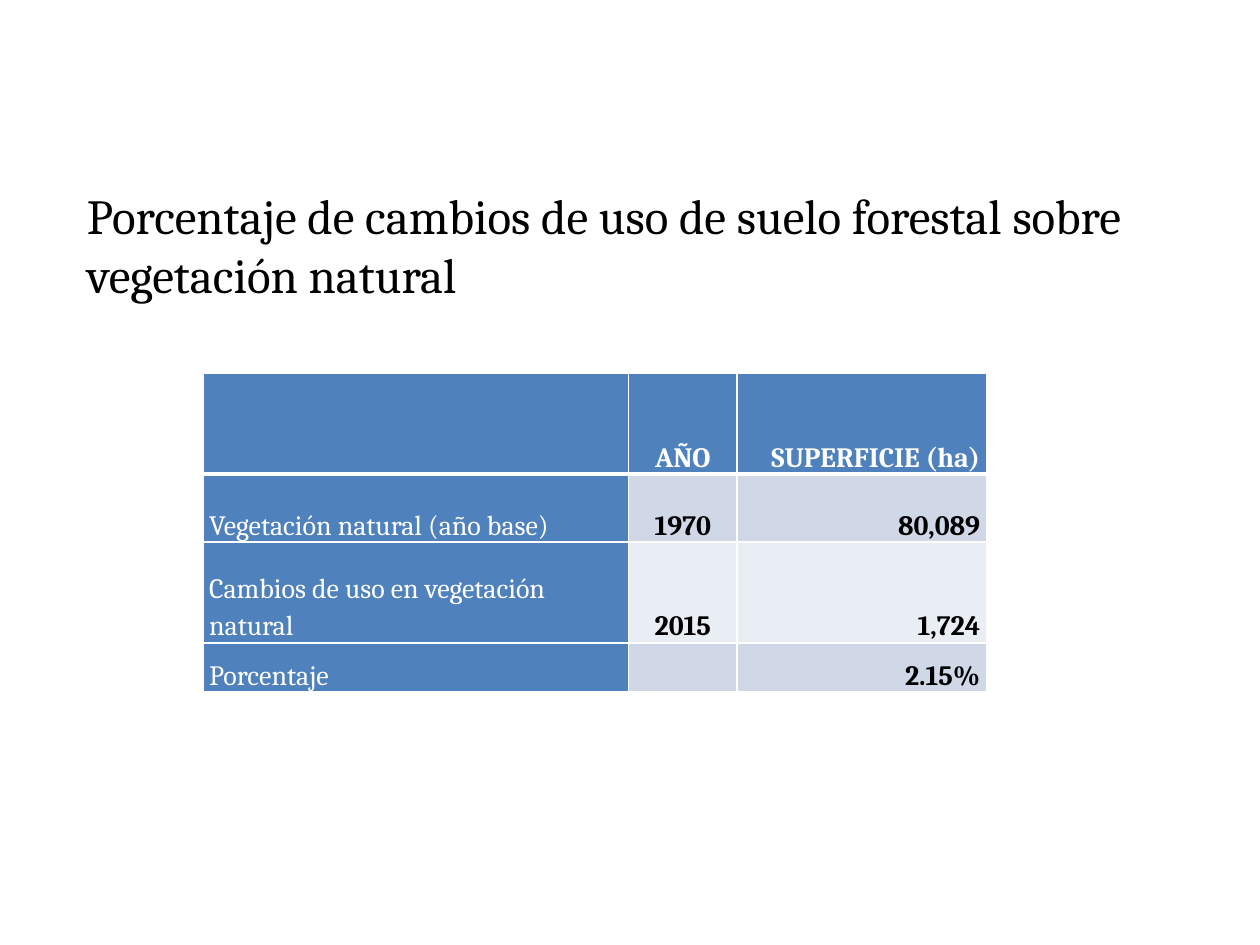
import dataclasses

import lxml.etree
import pptx
import pptx.dml.color
import pptx.enum.text
import pptx.oxml.ns
import pptx.util

ALIGN = pptx.enum.text.PP_ALIGN
ANCHOR = pptx.enum.text.MSO_ANCHOR
WIDTH, HEIGHT = pptx.util.Inches(10), pptx.util.Inches(7.5)
FONT = "Cambria"
BLACK, WHITE, BLUE = "000000", "FFFFFF", "4F81BD"
BANDS = ("D0D8E8", "E9EDF4")
COLS = (3.38, 0.86, 1.98)
COL_ALIGN = (ALIGN.LEFT, ALIGN.CENTER, ALIGN.RIGHT)


@dataclasses.dataclass
class Row:
    height: float
    texts: tuple[str, str, str]


ROWS = (
    Row(0.8, ("", "AÑO", "SUPERFICIE (ha)")),
    Row(0.54, ("Vegetación natural (año base)", "1970", "80,089")),
    Row(0.8, ("Cambios de uso en vegetación natural", "2015", "1,724")),
    Row(0.39, ("Porcentaje", "", "2.15%")),
)


def rgb(color: str) -> pptx.dml.color.RGBColor:
    return pptx.dml.color.RGBColor.from_string(color)


def apply(target: object, values: dict) -> None:
    for name, value in values.items():
        setattr(target, name, value)


def format_font(font, size: float, color: str, bold: bool = False) -> None:
    apply(font, {"name": FONT, "size": pptx.util.Pt(size), "bold": bold})
    font.color.rgb = rgb(color)


def place(sp, left: float, top: float, width: float, height: float) -> None:
    apply(sp, {"left": int(WIDTH * left), "top": int(HEIGHT * top),
               "width": int(WIDTH * width), "height": int(HEIGHT * height)})


def add_border(cell, side: str, width: float) -> None:
    qn = pptx.oxml.ns.qn
    tc_pr = cell._tc.get_or_add_tcPr()
    ln = lxml.etree.SubElement(tc_pr, qn(f"a:ln{side}"), w=str(pptx.util.Pt(width)))
    fill = lxml.etree.SubElement(ln, qn("a:solidFill"))
    lxml.etree.SubElement(fill, qn("a:srgbClr"), val=WHITE)


def fill_cell(cell, row: int, col: int, text: str) -> None:
    header = row == 0
    label = header or col == 0
    for side in "LRTB":
        thick = (header and side == "B") or (row == 1 and side == "T")
        add_border(cell, side, 3 if thick else 1)
    cell.fill.solid()
    cell.fill.fore_color.rgb = rgb(BLUE if label else BANDS[(row - 1) % 2])
    inset = pptx.util.Inches(0.05)
    apply(cell, {"margin_left": inset, "margin_right": inset, "margin_top": 0,
                 "margin_bottom": 0, "vertical_anchor": ANCHOR.BOTTOM})
    p = cell.text_frame.paragraphs[0]
    apply(p, {"alignment": COL_ALIGN[col], "line_spacing": 1.15})
    if text:
        r = p.add_run()
        r.text = text
        format_font(r.font, 16, WHITE if label else BLACK, col > 0)
    else:
        p.font.size = pptx.util.Pt(16)


def add_title(slide, text: str) -> None:
    sp = slide.shapes.title
    place(sp, 0.059, 0.196, 0.922, 0.125)
    tf = sp.text_frame
    apply(tf, {"word_wrap": True, "vertical_anchor": ANCHOR.MIDDLE,
               "auto_size": pptx.enum.text.MSO_AUTO_SIZE.NONE})
    p = tf.paragraphs[0]
    p.alignment = ALIGN.LEFT
    r = p.add_run()
    r.text = text
    format_font(r.font, 28, BLACK)


def add_surface_table(slide) -> None:
    sp = slide.shapes.add_table(
        len(ROWS), len(COLS), int(WIDTH * 0.161), int(HEIGHT * 0.395),
        pptx.util.Inches(sum(COLS)),
        pptx.util.Inches(sum(row.height for row in ROWS)))
    table = sp.table
    for column, width in zip(table.columns, COLS):
        column.width = pptx.util.Inches(width)
    for i, row in enumerate(ROWS):
        table.rows[i].height = pptx.util.Inches(row.height)
        for j, text in enumerate(row.texts):
            fill_cell(table.cell(i, j), i, j, text)


def main() -> None:
    prs = pptx.Presentation()
    apply(prs, {"slide_width": WIDTH, "slide_height": HEIGHT})
    slide = prs.slides.add_slide(prs.slide_layouts.get_by_name("Title Only"))
    add_title(slide, "Porcentaje de cambios de uso de suelo forestal sobre vegetación natural")
    add_surface_table(slide)
    prs.save("out.pptx")


if __name__ == "__main__":
    main()
